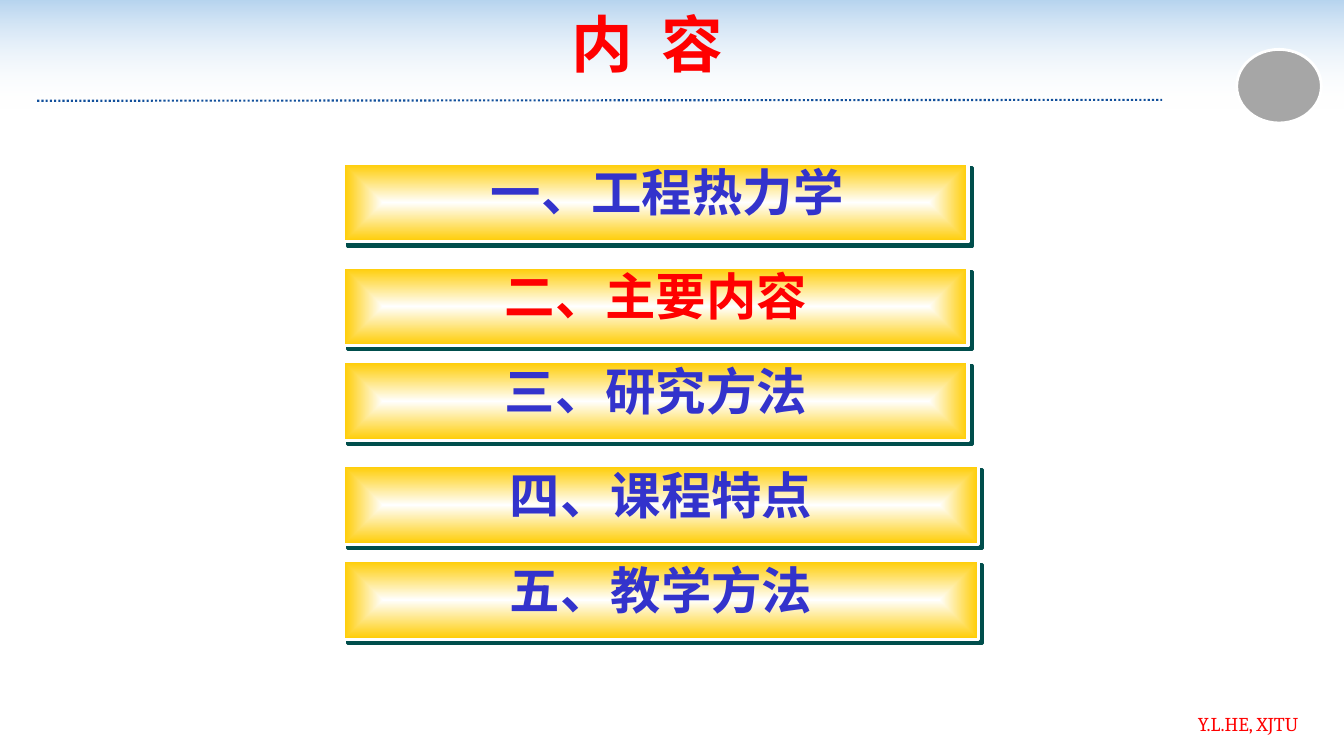
from pptx import Presentation
from pptx.dml.color import RGBColor
from pptx.enum.dml import MSO_LINE
from pptx.enum.shapes import MSO_CONNECTOR, MSO_SHAPE
from pptx.enum.text import MSO_ANCHOR, PP_ALIGN
from pptx.oxml import parse_xml
from pptx.oxml.ns import qn
from pptx.util import Pt

RECT, OVAL, STRAIGHT = MSO_SHAPE.RECTANGLE, MSO_SHAPE.OVAL, MSO_CONNECTOR.STRAIGHT
CENTER, RIGHT, TOP = PP_ALIGN.CENTER, PP_ALIGN.RIGHT, MSO_ANCHOR.TOP
DOTTED = MSO_LINE.ROUND_DOT
WHITE = RGBColor(0xFF, 0xFF, 0xFF)
RED = RGBColor(0xFF, 0x00, 0x00)
INDIGO = RGBColor(0x33, 0x33, 0xCC)
GOLD = RGBColor(0xFF, 0xCC, 0x00)
TEAL = RGBColor(0x00, 0x4E, 0x4C)
SKY = RGBColor(0x47, 0x92, 0xD7)
NAVY = RGBColor(0x11, 0x4F, 0x9B)
GREY = RGBColor(0xA6, 0xA6, 0xA6)
A_NS = 'xmlns:a="http://schemas.openxmlformats.org/drawingml/2006/main"'
LINEAR_DOWN = '<a:lin ang="5400000" scaled="0"/>'
FROM_CENTER = ('<a:path path="shape"><a:fillToRect l="50000" t="50000" '
               'r="50000" b="50000"/></a:path>')


class SlideBuilder:
    latin, east_asian = "Cambria", "Noto Sans CJK SC"

    def __init__(self, slide):
        self.s = slide

    def shape(self, kind, x, y, w, h, line=None, line_width=0):
        sp = self.s.shapes.add_shape(kind, Pt(x), Pt(y), Pt(w), Pt(h))
        sp.shadow.inherit = False
        if line is None:
            sp.line.fill.background()
        else:
            sp.line.color.rgb = line
            sp.line.width = Pt(line_width)
        return sp

    def gradient(self, sp, stops, direction):
        """Fill sp with two (colour, opacity percent) stops."""
        gs = "".join(
            f'<a:gs pos="{i * 100000}"><a:srgbClr val="{color}">'
            f'<a:alpha val="{opacity * 1000}"/></a:srgbClr></a:gs>'
            for i, (color, opacity) in enumerate(stops))
        sp.fill.background()
        spPr = sp._element.spPr
        spPr.replace(spPr.find(qn("a:noFill")), parse_xml(
            f'<a:gradFill {A_NS} rotWithShape="1"><a:gsLst>{gs}</a:gsLst>'
            f'{direction}</a:gradFill>'))

    def hard_shadow(self, sp, color):
        sp._element.spPr.find(qn("a:effectLst")).append(parse_xml(
            f'<a:outerShdw {A_NS} dist="53340" dir="2700000" algn="ctr" '
            f'rotWithShape="0"><a:srgbClr val="{color}"/></a:outerShdw>'))

    def label(self, sp, text, size, color, insets, align=CENTER, bold=True,
              font=None, line_spacing=0.9, tracking=0):
        tf = sp.text_frame
        tf.word_wrap = True
        tf.vertical_anchor = TOP
        (tf.margin_left, tf.margin_top,
         tf.margin_right, tf.margin_bottom) = map(Pt, insets)
        p = tf.paragraphs[0]
        p.alignment, p.line_spacing = align, line_spacing
        r = p.add_run()
        r.text = text
        r.font.name = font or self.latin
        r.font.size, r.font.bold = Pt(size), bold
        r.font.color.rgb = color
        rPr = r._r.get_or_add_rPr()
        rPr.append(parse_xml(f'<a:ea {A_NS} typeface="{self.east_asian}"/>'))
        if tracking:
            rPr.set("spc", str(tracking * 100))

    def text(self, x, y, w, h, *args, **style):
        box = self.s.shapes.add_textbox(Pt(x), Pt(y), Pt(w), Pt(h))
        self.label(box, *args, **style)

    def dotted_line(self, x1, y1, x2, y2, color, width):
        c = self.s.shapes.add_connector(STRAIGHT, Pt(x1), Pt(y1), Pt(x2), Pt(y2))
        c.line.color.rgb = color
        c.line.width = Pt(width)
        c.line.dash_style = DOTTED
        c._element.spPr.append(parse_xml(f"<a:effectLst {A_NS}/>"))

    def bar(self, y, w, title, color, indent):
        sp = self.shape(RECT, 245.5, y, w, 56.2, WHITE, 2.25)
        self.gradient(sp, [(WHITE, 100), (GOLD, 100)], FROM_CENTER)
        self.hard_shadow(sp, TEAL)
        self.label(sp, title, 36, color, (7.2 + indent, 3.6, 7.2, 7.2),
                   font=self.east_asian)


def main():
    prs = Presentation()
    prs.slide_width, prs.slide_height = Pt(960), Pt(540)
    b = SlideBuilder(prs.slides.add_slide(prs.slide_layouts[6]))

    b.text(792, 504, 143.3, 24.5, "Y.L.HE, XJTU", 14, RED, (7.9, 4.3, 7.9, 4.3),
           align=RIGHT, bold=False, line_spacing=1.0)
    header = b.shape(RECT, 0, 0, 960, 77.8)
    b.gradient(header, [(SKY, 40), (WHITE, 0)], LINEAR_DOWN)
    b.dotted_line(26.6, 72, 830.2, 71.3, NAVY, 1.5)
    emblem = b.shape(OVAL, 883.4, 35.3, 60.5, 52.6, WHITE, 2)
    emblem.fill.solid()
    emblem.fill.fore_color.rgb = GREY
    b.text(54.7, 6.5, 815.8, 54, "内 容", 44, RED, (7.2, 3.6, 7.2, 3.6), tracking=5)

    chapters = [
        ("一、工程热力学", INDIGO, 446, 16),
        ("二、主要内容", RED, 446, 0),
        ("三、研究方法", INDIGO, 446, 0),
        ("四、课程特点", INDIGO, 453.6, 0),
        ("五、教学方法", INDIGO, 453.6, 0),
    ]
    for i, (title, color, width, indent) in enumerate(chapters):
        y = 116.6 + 70.95 * i + 3.2 * (i % 2)
        b.bar(y, width, title, color, indent)

    prs.save("out.pptx")


if __name__ == "__main__":
    main()
